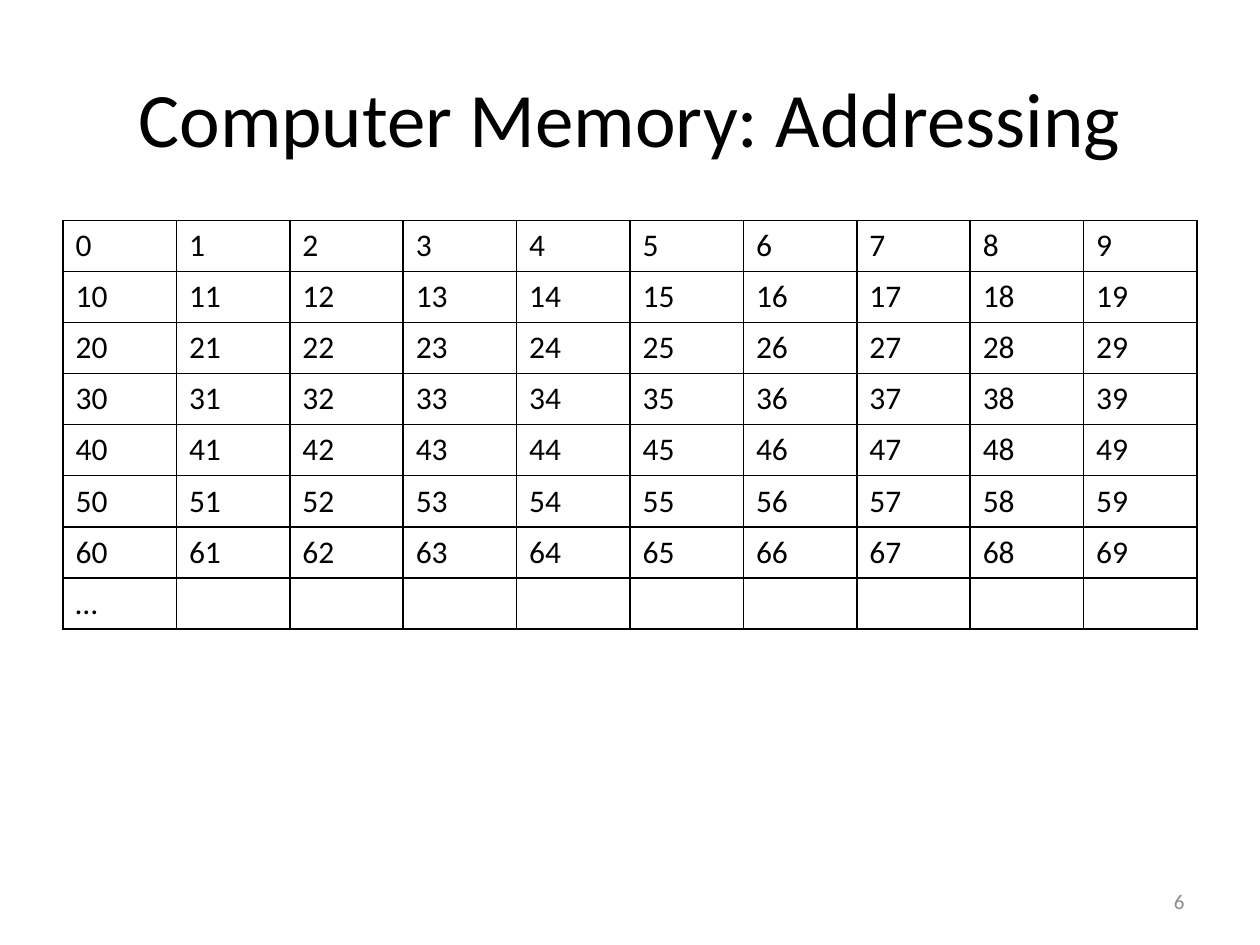
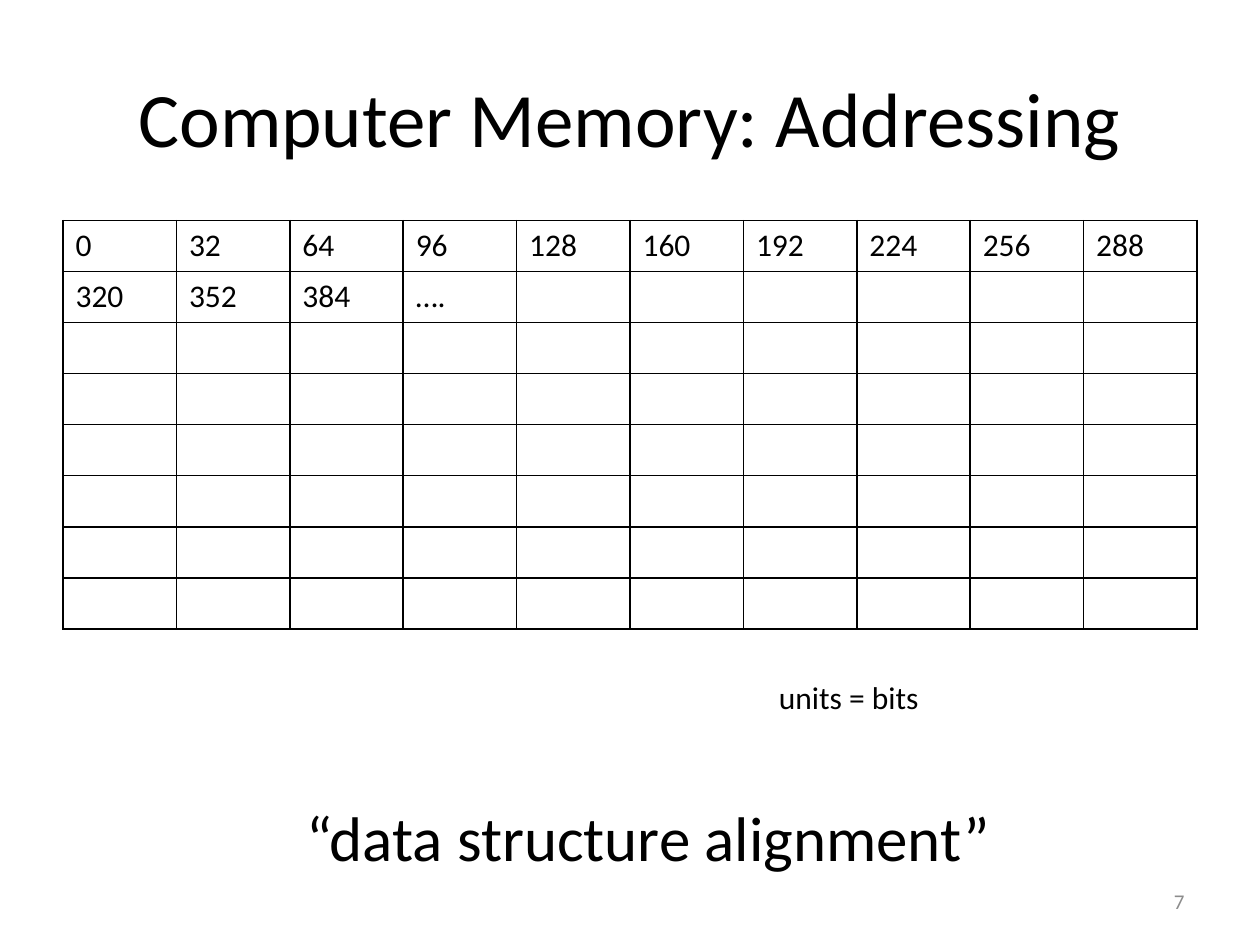
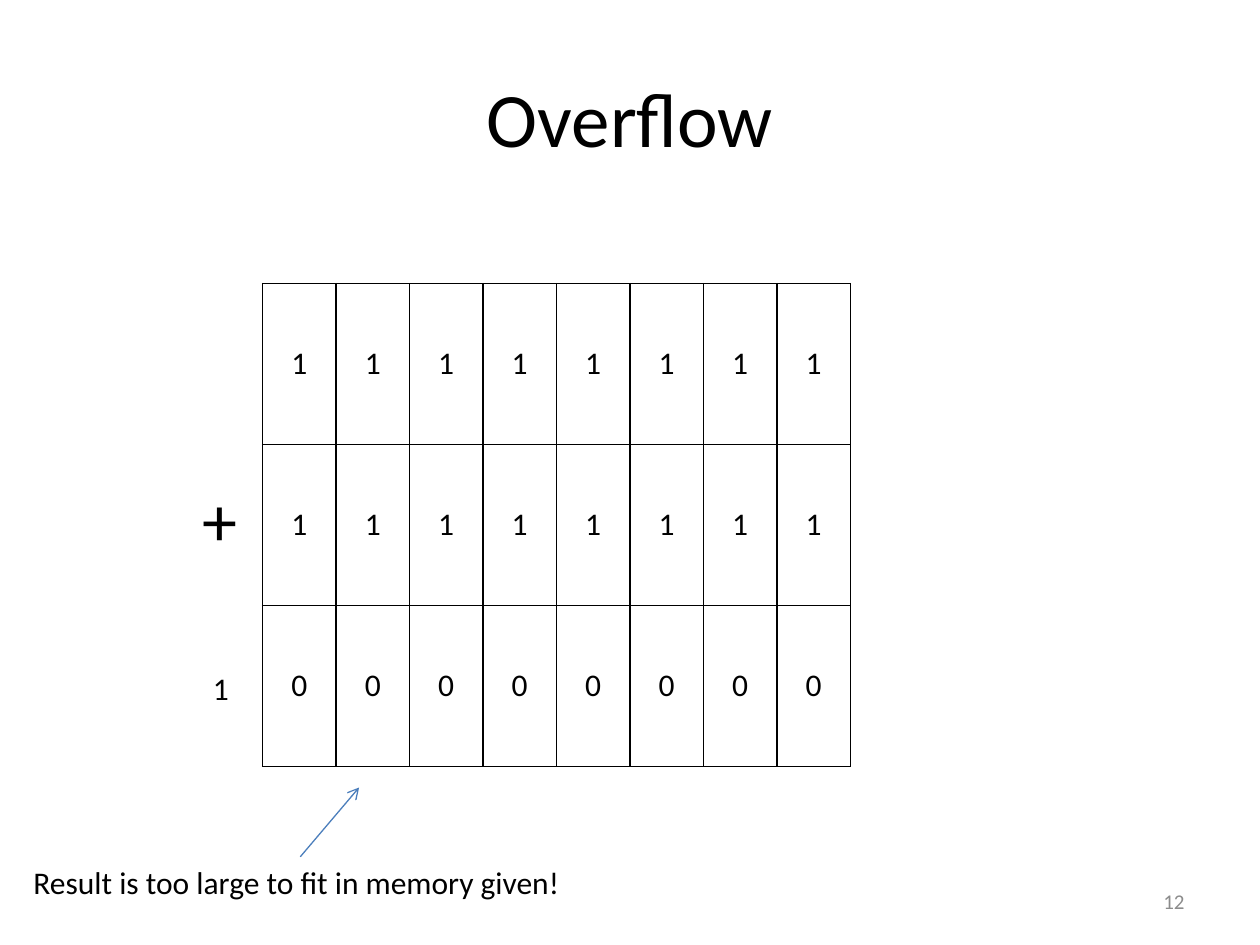
from lxml.etree import SubElement as Sub
from pptx import Presentation
from pptx.dml.color import RGBColor as RGB
from pptx.enum.shapes import MSO_CONNECTOR as Conn
from pptx.enum.text import MSO_ANCHOR as Anchor, MSO_AUTO_SIZE as Auto, PP_ALIGN as Align
from pptx.oxml.ns import qn
from pptx.util import Emu, Inches, Pt

FONT = "Calibri"
INK, GREY, BLUE = "000000", "8C8C8C", "4B7EBC"
WIDE, HIGH = Inches(10), Inches(7.5)
COLS = 120
UNIT = WIDE / COLS
TITLE = (6, 3.6, 108, 15)
NUMBER = (86, 83.4, 28, 4.8)
MEMORY = (6, 21, 108, 38.9)
BITS = (25, 27, 56, 46)


def grid(*spans):
    """Turn grid units into slide lengths."""
    return [Emu(round(span * UNIT)) for span in spans]


def color(tone):
    """Read a hex string as a colour."""
    return RGB.from_string(tone)


def write(frame, text, size, tone=INK, align=Align.LEFT):
    """Add one styled run to the first paragraph of a frame."""
    para = frame.paragraphs[0]
    para.alignment = align
    run = para.add_run()
    run.text = text
    font = run.font
    font.name, font.size, font.color.rgb = FONT, Pt(size), color(tone)


def label(slide, text, area, size=18):
    """Add a text box that fits its one line."""
    frame = slide.shapes.add_textbox(*grid(*area)).text_frame
    frame.word_wrap = False
    frame.auto_size = Auto.SHAPE_TO_FIT_TEXT
    write(frame, text, size)


def number(slide, page):
    """Add the page number at the lower right."""
    frame = slide.shapes.add_textbox(*grid(*NUMBER)).text_frame
    frame.word_wrap = True
    frame.vertical_anchor = Anchor.MIDDLE
    write(frame, str(page), 12, GREY, Align.RIGHT)


def start(deck, title, page):
    """Add a slide with its title and page number."""
    slide = deck.slides.add_slide(deck.slide_layouts[5])
    head = slide.shapes.title
    head.left, head.top, head.width, head.height = grid(*TITLE)
    head.text_frame.vertical_anchor = Anchor.MIDDLE
    write(head.text_frame, title, 44, align=Align.CENTER)
    number(slide, page)
    return slide


def border(cell):
    """Draw a thin line on all four sides of a cell."""
    props = cell._tc.get_or_add_tcPr()
    for side in ("lnL", "lnR", "lnT", "lnB"):
        line = Sub(props, qn(f"a:{side}"), w=str(Pt(1)))
        Sub(Sub(line, qn("a:solidFill")), qn("a:srgbClr"), val=INK)


def table(slide, area, rows, cols, words, center=False):
    """Add an even table, filled row by row from a list of words."""
    grid_table = slide.shapes.add_table(rows, cols, *grid(*area)).table
    grid_table.first_row = grid_table.horz_banding = False
    for col in grid_table.columns:
        col.width, = grid(area[2] / cols)
    for row in grid_table.rows:
        row.height, = grid(area[3] / rows)
    for cell in grid_table.iter_cells():
        border(cell)
        cell.fill.background()
    for cell, word in zip(grid_table.iter_cells(), words):
        cell.vertical_anchor = Anchor.MIDDLE if center else Anchor.TOP
        write(cell.text_frame, word, 18, align=Align.CENTER if center else Align.LEFT)


def arrow(slide, *ends):
    """Add a thin line with an open arrowhead at its end."""
    link = slide.shapes.add_connector(Conn.STRAIGHT, *grid(*ends))
    link.line.color.rgb = color(BLUE)
    link.line.width = Pt(0.75)
    Sub(link.line._get_or_add_ln(), qn("a:tailEnd"), type="arrow")
    Sub(link._element.spPr, qn("a:effectLst"))


def count(stop, step, tail):
    """List the addresses below a stop, closed by a tail."""
    return [str(spot) for spot in range(0, stop, step)] + [tail]


def main():
    """Build and save the deck."""
    deck = Presentation()
    deck.slide_width, deck.slide_height = WIDE, HIGH

    slide = start(deck, "Computer Memory: Addressing", 6)
    table(slide, MEMORY, 8, 10, count(70, 1, "…"))

    slide = start(deck, "Computer Memory: Addressing", 7)
    table(slide, MEMORY, 8, 10, count(416, 32, "…."))
    label(slide, "“data structure alignment”", (28, 75.5, 67.8, 8.5), 36)
    label(slide, "units = bits", (73, 64, 16.2, 4.8))

    slide = start(deck, "Overflow", 12)
    table(slide, BITS, 3, 8, "1" * 16 + "0" * 8, center=True)
    label(slide, "1", (19.1, 63.1, 4, 4.8))
    label(slide, "Result is too large to fit in memory given!", (2, 81.6, 53.2, 4.8))
    label(slide, "+", (18.1, 44.8, 5.8, 9.2), 40)
    arrow(slide, 28.6, 81.6, 34.2, 75)

    deck.save("out.pptx")


main()
